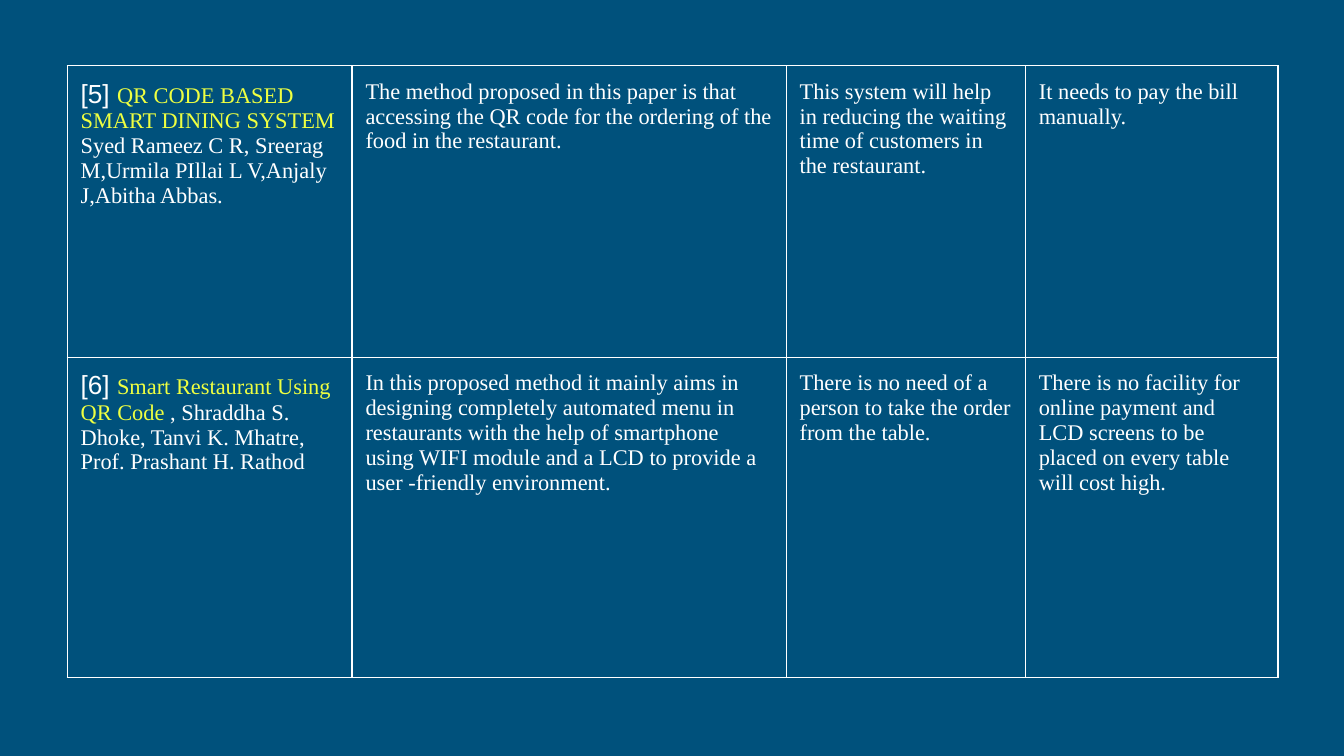
from dataclasses import dataclass

from lxml.etree import SubElement
from pptx import Presentation
from pptx.dml.color import RGBColor as RGB
from pptx.oxml.ns import qn
from pptx.util import Inches, Pt


@dataclass(frozen=True)
class Theme:
    background: str = "00517C"
    text: str = "FFFFFF"
    accent: str = "EEFF41"
    body_font: str = "Times New Roman"
    number_font: str = "Arial"
    body_size: float = 12
    number_size: float = 14
    border_width: float = 0.75
    cell_margin: float = 0.1


@dataclass(frozen=True)
class Paper:
    number: str
    title: str
    authors: str
    authors_on_new_line: bool
    method: str
    advantage: str
    drawback: str


THEME = Theme()
SLIDE_WIDTH = 10
COLUMN_WIDTHS = (2.12, 3.23, 1.78, 1.88)
ROW_HEIGHTS = (2.17, 2.38)
PAPERS = (
    Paper(
        "[5] ",
        "QR CODE BASED SMART DINING SYSTEM",
        "Syed Rameez C R, Sreerag M,Urmila PIllai L V,Anjaly J,Abitha Abbas.",
        True,
        "The method proposed in this paper is that accessing the QR code for the "
        "ordering of the food in the restaurant.",
        "This system will help in reducing the waiting time of customers in the restaurant.",
        "It needs to pay the bill manually.",
    ),
    Paper(
        "[6] ",
        "Smart Restaurant Using QR Code ",
        ", Shraddha S. Dhoke, Tanvi K. Mhatre, Prof. Prashant H. Rathod",
        False,
        "In this proposed method it mainly aims in designing completely automated menu "
        "in restaurants with the help of smartphone using WIFI module and a LCD to "
        "provide a user -friendly environment.",
        "There is no need of a person to take the order from the table.",
        "There is no facility for online payment and LCD screens to be placed on every "
        "table will cost high.",
    ),
)


def write(paragraph, text: str, *, font: str = THEME.body_font,
          size: float = THEME.body_size, color: str = THEME.text) -> None:
    run = paragraph.add_run()
    run.text = text
    run.font.name = font
    run.font.size = Pt(size)
    run.font.color.rgb = RGB.from_string(color)


def format_cell(cell) -> None:
    """Make the cell see-through, with even margins and a border on all sides."""
    margin = Inches(THEME.cell_margin)
    cell.margin_left = cell.margin_right = margin
    cell.margin_top = cell.margin_bottom = margin
    properties = cell._tc.get_or_add_tcPr()
    for side in ("a:lnL", "a:lnR", "a:lnT", "a:lnB"):
        border = SubElement(properties, qn(side), w=str(Pt(THEME.border_width)))
        solid = SubElement(border, qn("a:solidFill"))
        SubElement(solid, qn("a:srgbClr"), val=THEME.text)
    cell.fill.background()


def write_reference(cell, paper: Paper) -> None:
    frame = cell.text_frame
    heading = frame.paragraphs[0]
    write(heading, paper.number, font=THEME.number_font, size=THEME.number_size)
    write(heading, paper.title, color=THEME.accent)
    write(frame.add_paragraph() if paper.authors_on_new_line else heading, paper.authors)


def add_survey_table(slide, papers: tuple[Paper, ...]) -> None:
    survey = slide.shapes.add_table(
        len(papers), len(COLUMN_WIDTHS), Inches(0.5), Inches(0.49),
        Inches(sum(COLUMN_WIDTHS)), Inches(sum(ROW_HEIGHTS))).table
    survey.first_row = survey.horz_banding = False
    for column, width in zip(survey.columns, COLUMN_WIDTHS):
        column.width = Inches(width)
    for row, height, paper in zip(survey.rows, ROW_HEIGHTS, papers):
        row.height = Inches(height)
        reference, *findings = row.cells
        write_reference(reference, paper)
        for cell, finding in zip(findings, (paper.method, paper.advantage, paper.drawback)):
            write(cell.text_frame.paragraphs[0], finding)
        for cell in row.cells:
            format_cell(cell)


def main() -> None:
    deck = Presentation()
    deck.slide_width = Inches(SLIDE_WIDTH)
    deck.slide_height = Inches(SLIDE_WIDTH * 9 / 16)
    slide = deck.slides.add_slide(deck.slide_layouts[6])
    slide.background.fill.solid()
    slide.background.fill.fore_color.rgb = RGB.from_string(THEME.background)
    add_survey_table(slide, PAPERS)
    deck.save("out.pptx")


if __name__ == "__main__":
    main()
